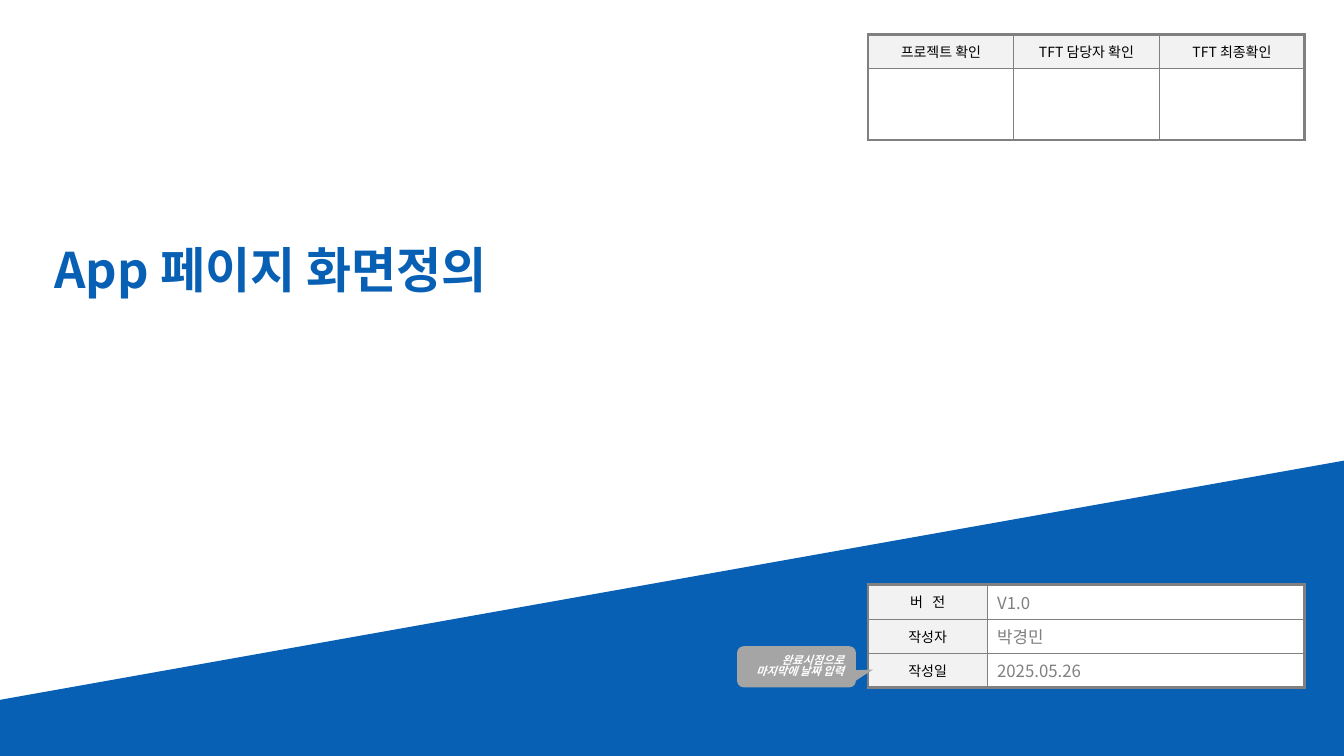
"""Builds the cover slide of an app screen definition document."""
from lxml.etree import SubElement
from pptx import Presentation
from pptx.dml.color import RGBColor
from pptx.enum.shapes import MSO_SHAPE
from pptx.enum.text import MSO_ANCHOR, PP_ALIGN
from pptx.oxml.ns import qn
from pptx.util import Inches, Pt

WIDTH, HEIGHT = 13.33, 7.5
MARGIN_X, PANEL_WIDTH, ROW = 8.61, 4.33, 0.34
FONT = "Noto Sans CJK KR"
BLUE = RGBColor(0x08, 0x60, 0xB5)
GRAY = RGBColor(0x80, 0x80, 0x80)
NOTE_GRAY = RGBColor(0xA5, 0xA5, 0xA5)
LABEL_GRAY = RGBColor(0xF2, 0xF2, 0xF2)
WHITE = RGBColor(0xFF, 0xFF, 0xFF)
BLACK = RGBColor(0, 0, 0)
APPROVALS = [["프로젝트 확인", "TFT 담당자 확인", "TFT 최종확인"], ["", "", ""]]
DETAILS = [["버   전", "V1.0"], ["작성자", "박경민"], ["작성일", "2025.05.26"]]


def write(frame, text, size, color, align=PP_ALIGN.LEFT, bold=False, italic=False, spacing=1.0):
    """Put one styled paragraph into a text frame."""
    paragraph = frame.paragraphs[0]
    paragraph.text = text
    paragraph.alignment = align
    paragraph.line_spacing = spacing
    font = paragraph.font
    font.name, font.size, font.bold, font.italic = FONT, Pt(size), bold, italic
    font.color.rgb = color
    for run in paragraph.runs:
        SubElement(run.font._element, qn("a:ea"), typeface=FONT)


def draw_border(cell, side, points):
    """Add one gray border line to a cell."""
    line = SubElement(cell._tc.get_or_add_tcPr(), qn(f"a:ln{side}"), w=str(Pt(points)))
    SubElement(SubElement(line, qn("a:solidFill")), qn("a:srgbClr"), val=str(GRAY))


def add_panel(slide, box, widths, heights, rows, is_label):
    """Draw a framed table whose label cells are shaded and centred."""
    panel = slide.shapes.add_table(len(heights), len(widths), *map(Inches, box)).table
    panel.first_row = panel.horz_banding = False
    for column, width in zip(panel.columns, widths):
        column.width = Inches(width)
    for row, height in zip(panel.rows, heights):
        row.height = Inches(height)
    for r, texts in enumerate(rows):
        for c, text in enumerate(texts):
            cell = panel.cell(r, c)
            cell.vertical_anchor = MSO_ANCHOR.MIDDLE
            outer = {"L": c == 0, "R": c == len(widths) - 1,
                     "T": r == 0, "B": r == len(heights) - 1}
            for side, on_edge in outer.items():
                draw_border(cell, side, 2.25 if on_edge else 0.5)
            cell.fill.solid()
            cell.fill.fore_color.rgb = LABEL_GRAY if is_label(r, c) else WHITE
            if is_label(r, c):
                write(cell.text_frame, text, 10, BLACK, PP_ALIGN.CENTER)
            elif text:
                write(cell.text_frame, text, 12, GRAY)


def add_slope(slide, left, top, width, height):
    """Draw the blue ground that rises to the right."""
    bottom, shoulder = top + height, top + height * 0.81
    outline = slide.shapes.build_freeform(Inches(left), Inches(bottom))
    outline.add_line_segments([(Inches(x), Inches(y)) for x, y in (
        (left, shoulder), (left + width, top), (left + width, bottom))])
    slope = outline.convert_to_shape()
    slope.shadow.inherit = False
    slope.fill.solid()
    slope.fill.fore_color.rgb = BLUE
    slope.line.fill.background()


def add_title(slide, *box):
    """Write the document title."""
    frame = slide.shapes.add_textbox(*map(Inches, box)).text_frame
    frame.word_wrap = True
    frame.vertical_anchor = MSO_ANCHOR.MIDDLE
    frame.margin_left = frame.margin_right = Inches(0.08)
    frame.margin_top = frame.margin_bottom = Inches(0.04)
    write(frame, "App 페이지 화면정의", 35, BLUE, bold=True, spacing=0.9)


def add_date_note(slide, *box):
    """Draw the callout that points at the date row."""
    note = slide.shapes.add_shape(MSO_SHAPE.ROUNDED_RECTANGULAR_CALLOUT, *map(Inches, box))
    for index, value in enumerate((0.643, 0.066, 0.167)):
        note.adjustments[index] = value
    note.shadow.inherit = False
    note.fill.solid()
    note.fill.fore_color.rgb = NOTE_GRAY
    note.line.fill.background()
    frame = note.text_frame
    frame.word_wrap = True
    frame.vertical_anchor = MSO_ANCHOR.MIDDLE
    write(frame, "완료시점으로 마지막에 날짜 입력", 8, WHITE, PP_ALIGN.RIGHT, True, True, 0.8)


def build_cover(slide):
    """Place all regions of the cover."""
    add_slope(slide, 0, 4.57, WIDTH, HEIGHT - 4.57)
    add_title(slide, 0.46, 2.06, 12.54, 1.28)
    add_panel(slide, (MARGIN_X, 5.8, PANEL_WIDTH, 3 * ROW), [1.18, PANEL_WIDTH - 1.18],
              [ROW] * 3, DETAILS, lambda r, c: c == 0)
    add_date_note(slide, 7.31, 6.41, 1.18, 0.41)
    add_panel(slide, (MARGIN_X, 0.34, PANEL_WIDTH, 1.05), [PANEL_WIDTH / 3] * 3,
              [ROW, 0.71], APPROVALS, lambda r, c: r == 0)


def main():
    """Create and save the presentation."""
    deck = Presentation()
    deck.slide_width, deck.slide_height = Inches(WIDTH), Inches(HEIGHT)
    build_cover(deck.slides.add_slide(deck.slide_layouts[6]))
    deck.save("out.pptx")


if __name__ == "__main__":
    main()
